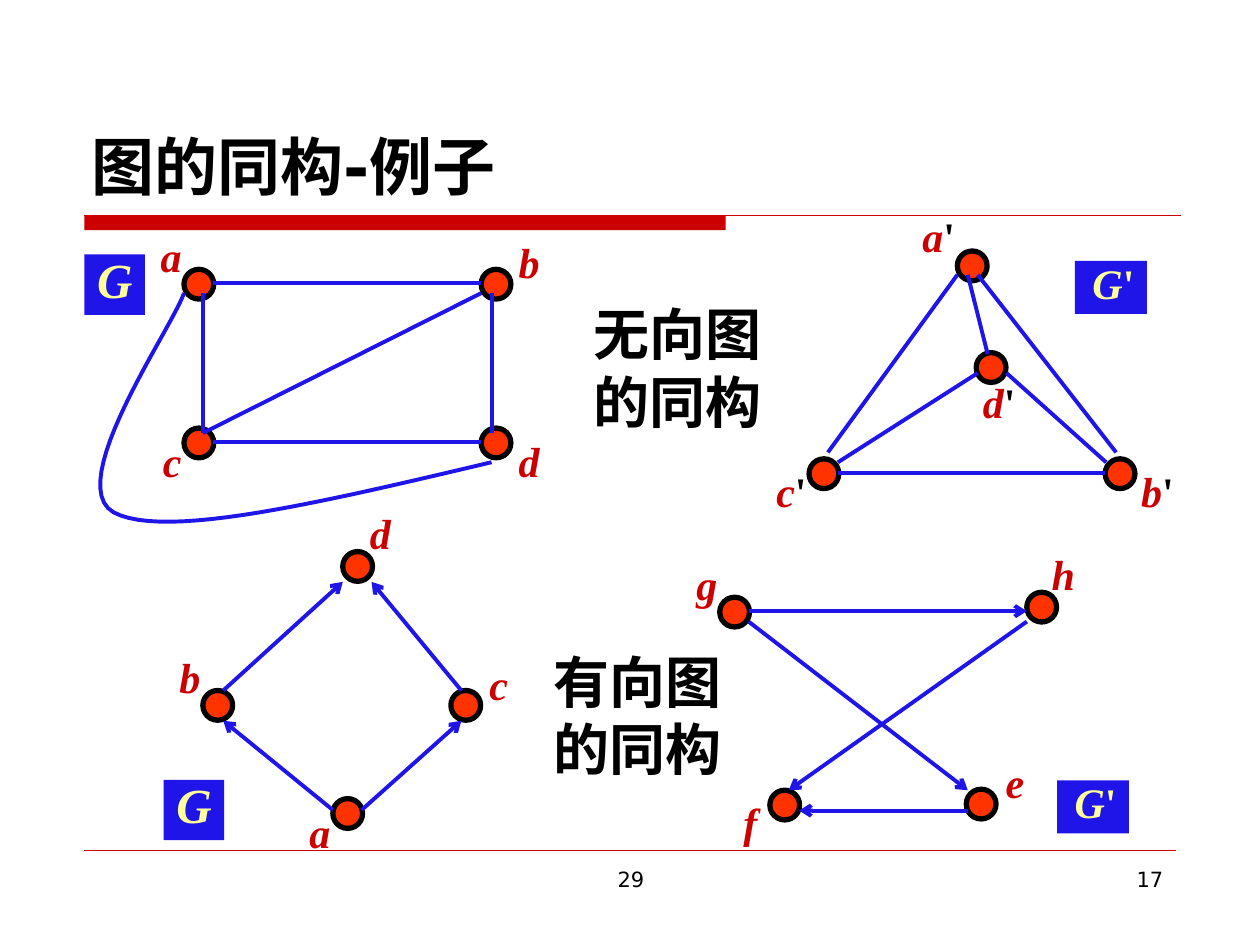
from lxml import etree
from pptx import Presentation, util as u
from pptx.dml.color import RGBColor
from pptx.enum import shapes as s, text as t
from pptx.oxml import ns

RED, BLUE, BLACK = "CC0000", "1F15E9", "000000"
SERIF, SANS = "Times New Roman", "DejaVu Sans"
NODE = 0.6


def tint(code):
    """Turn a hex string into a colour."""
    return RGBColor.from_string(code)


def write(frame, words, size=12, font=SERIF, hue=BLACK, bold=True, slant=False,
          align="LEFT", space=1.0, prime=BLACK, wrap=True, anchor="TOP"):
    """Fill a text frame, setting any prime mark upright."""
    frame.word_wrap = wrap
    frame.vertical_anchor = t.MSO_ANCHOR[anchor]
    for i, row in enumerate(words.split("\n")):
        para = frame.add_paragraph() if i else frame.paragraphs[0]
        para.alignment = t.PP_ALIGN[align]
        para.line_spacing = space
        name, mark, _ = row.partition("'")
        for part, code, lean in ((name, hue, slant), (mark, prime, False)):
            if part:
                run = para.add_run()
                run.text = part
                run.font.name, run.font.size = font, u.Pt(size)
                run.font.bold, run.font.italic = bold, lean
                run.font.color.rgb = tint(code)


def label(room, box, words, **style):
    """Add a text box."""
    write(room.add_textbox(*map(u.Cm, box)).text_frame, words, **style)


def block(room, kind, box, fill, edge=None):
    """Add a filled shape with an optional outline."""
    item = room.add_shape(kind, *map(u.Cm, box))
    item.shadow.inherit = False
    item.fill.solid()
    item.fill.fore_color.rgb = tint(fill)
    if edge:
        item.line.color.rgb, item.line.width = tint(edge), u.Pt(3)
    else:
        item.line.fill.background()
    return item


def line(room, start, end, hue=BLUE, width=2.25, arrow=False):
    """Add a straight line, with an arrowhead at its end if asked."""
    link = room.add_connector(s.MSO_CONNECTOR.STRAIGHT, *map(u.Cm, (*start, *end)))
    link.line.color.rgb, link.line.width = tint(hue), u.Pt(width)
    if arrow:
        etree.SubElement(link.line._get_or_add_ln(), ns.qn("a:tailEnd"), type="arrow")
    etree.SubElement(link._element.spPr, ns.qn("a:effectLst"))


def bend(room, x, y, start, *curves, steps=24):
    """Draw joined cubic curves as one open outline."""
    dots = [start]
    for one, two, end in curves:
        ends = (dots[-1], one, two, end)
        for k in range(1, steps + 1):
            f = k / steps
            mix = ((1 - f) ** 3, 3 * f * (1 - f) ** 2, 3 * f * f * (1 - f), f ** 3)
            dots.append(tuple(sum(m * p[a] for m, p in zip(mix, ends)) for a in (0, 1)))
    dots = [(u.Cm(x + a), u.Cm(y + b)) for a, b in dots]
    path = room.build_freeform(*dots[0])
    path.add_line_segments(dots[1:], close=False)
    item = path.convert_to_shape()
    item.shadow.inherit = False
    item.fill.background()
    item.line.color.rgb, item.line.width = tint(BLUE), u.Pt(2.25)


def graph(slide, x, y, nodes, edges, tag, arrow=False, curve=None):
    """Draw a graph at a corner: nodes with names, edges and a name tag."""
    room = slide.shapes.add_group_shape().shapes
    for name, left, top, dx, dy in nodes:
        left, top = x + left, y + top
        block(room, s.MSO_SHAPE.FLOWCHART_CONNECTOR, (left, top, NODE, NODE), "FF3300", BLACK)
        label(room, (left + dx, top + dy, 1.22, 1.07), name, size=24, hue=RED,
              slant=True, align="RIGHT", space=0.8)
    for a, b, c, d in edges:
        line(room, (x + a, y + b), (x + c, y + d), arrow=arrow)
    if curve:
        bend(room, x, y, *curve)
    name, left, top = tag
    wide, high, size = (1.45, 1.07, 24) if "'" in name else (1.22, 1.22, 28)
    plate = block(room, s.MSO_SHAPE.RECTANGLE, (x + left, y + top, wide, high), BLUE)
    write(plate.text_frame, name, size=size, hue="FFFF99", prime="FFFF99",
          slant=True, align="RIGHT", space=0.8)


def head(slide, x, y, wide):
    """Place the title above its two-weight rule."""
    room = slide.shapes
    label(room, (x - 0.1, y - 3.5, wide, 3.38), "图的同构-例子", size=36, font=SANS, anchor="BOTTOM")
    block(room, s.MSO_SHAPE.RECTANGLE, (x, y, 12.93, 0.3), RED)
    line(room, (x, y), (x + wide, y), RED, 0.75)


def foot(slide, x, y, wide):
    """Place the bottom rule and both numbers."""
    room = slide.shapes
    line(room, (x, y), (x + wide, y), RED, 0.25)
    for left, span, words, align in ((7, 8.04, "29", "CENTER"), (16.5, 5.5, "17", "RIGHT")):
        label(room, (x + left, y + 0.2, span, 1.32), words, font=SANS, bold=False, align=align)


def main():
    """Build the slide."""
    deck = Presentation()
    deck.slide_width, deck.slide_height = u.Cm(25.4), u.Cm(19.05)
    slide = deck.slides.add_slide(deck.slide_layouts[6])
    head(slide, 1.7, 4.34, 22.1)
    foot(slide, 1.7, 17.15, 22)
    for x, y, words in ((11.71, 5.92, "无向图\n的同构"), (10.9, 12.93, "有向图\n的同构")):
        label(slide.shapes, (x, y, 3.89, 2.97), words, size=32, wrap=False)
    graph(slide, 1.27, 4.72,
          [("a", 2.44, 0.71, -1.02, -0.71), ("b", 8.43, 0.71, 0.21, -0.58),
           ("c", 2.44, 3.91, -1.02, 0.23), ("d", 8.43, 3.91, 0.21, 0.23)],
          [(2.82, 1.19, 2.82, 4.01), (8.43, 1.19, 2.82, 4.01), (3.02, 0.99, 8.43, 0.99),
           (8.64, 1.19, 8.64, 4.01), (3.02, 4.19, 8.43, 4.19)],
          ("G", 0.43, 0.41),
          curve=((8.64, 4.6), ((5.33, 5.38), (2.06, 6.17), (1.02, 5.61)),
                 ((0, 5.03), (2.18, 1.93), (2.44, 1.19))))
    graph(slide, 3.1, 10.31,
          [("b", 0.99, 3.61, -1.02, -0.71), ("c", 5.99, 3.61, 0.18, -0.58),
           ("a", 3.61, 5.79, -1.02, 0.23), ("d", 3.81, 0.81, 0, -0.81)],
          [(1.4, 3.61, 3.81, 1.42), (6.2, 3.61, 4.39, 1.42),
           (3.61, 6.02, 1.4, 4.22), (4.19, 6.02, 6.2, 4.22)],
          ("G", 0.2, 5.41), arrow=True)
    graph(slide, 15.29, 4.32,
          [("a'", 4.01, 0.74, -1.02, -0.74), ("d'", 4.39, 2.79, -0.18, 0.56),
           ("c'", 1.02, 4.93, -1.02, 0.2), ("b'", 6.99, 4.93, 0.41, 0.2)],
          [(1.6, 5.21, 6.99, 5.21), (4.01, 1.22, 1.4, 4.8), (4.42, 1.22, 7.21, 4.8),
           (5, 3.2, 7.01, 5), (4.22, 1.22, 4.62, 2.82), (4.42, 3.2, 1.6, 5)],
          ("G'", 6.38, 0.94))
    graph(slide, 13.49, 11.13,
          [("g", 1.02, 0.91, -1.02, -0.71), ("h", 7.21, 0.81, 0, -0.81),
           ("f", 2.03, 4.8, -1.22, 0.2), ("e", 5.99, 4.78, 0.2, -0.58)],
          [(7.21, 1.4, 2.41, 4.8), (1.6, 1.4, 6.02, 4.8),
           (1.6, 1.19, 7.21, 1.19), (6.02, 5.21, 2.62, 5.21)],
          ("G'", 7.82, 4.6), arrow=True)
    deck.save("out.pptx")


if __name__ == "__main__":
    main()
